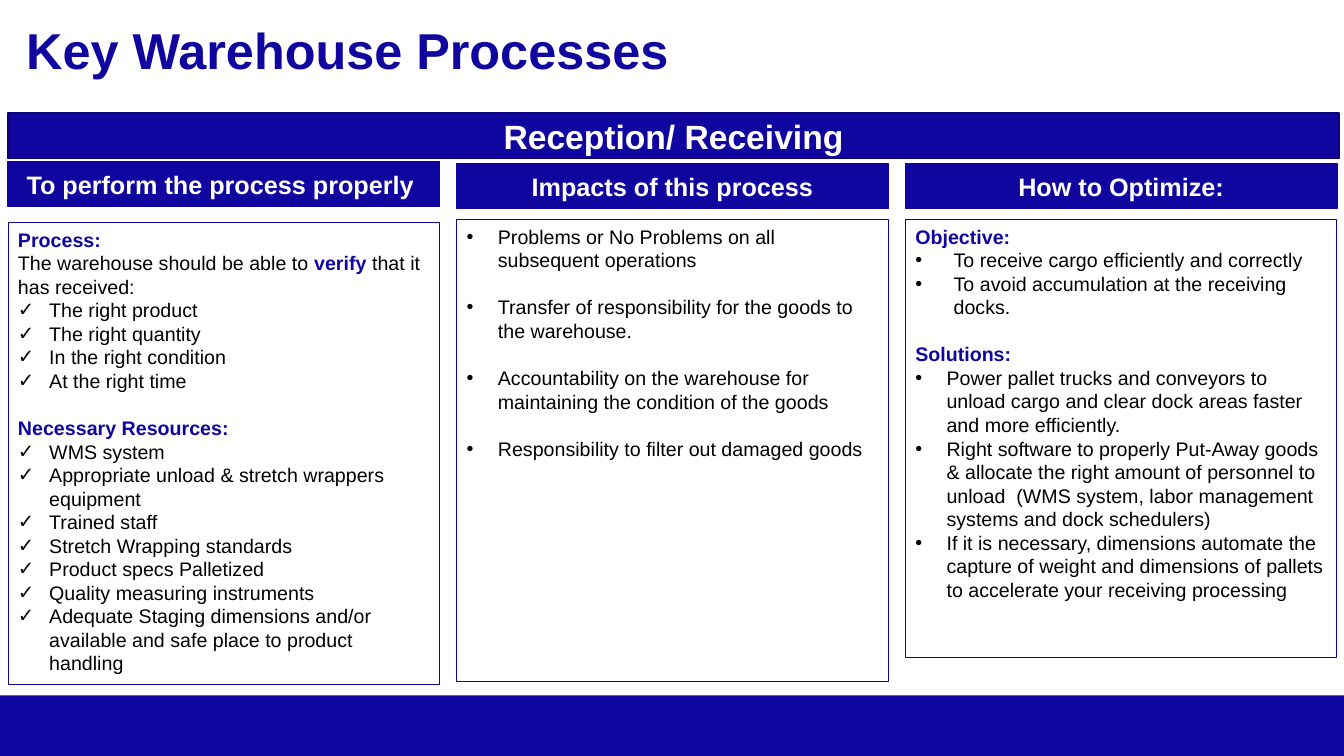
from dataclasses import dataclass
from lxml.etree import SubElement
from pptx import Presentation
from pptx.dml.color import RGBColor
from pptx.enum.shapes import MSO_SHAPE
from pptx.enum.text import MSO_ANCHOR, MSO_AUTO_SIZE, PP_ALIGN
from pptx.oxml.ns import qn
from pptx.util import Inches, Pt


@dataclass(frozen=True)
class Theme:
    font: str = "Arial"
    blue: str = "10069F"
    edge: str = "0C0476"
    white: str = "FFFFFF"
    black: str = "000000"
    title: float = 36
    band: float = 24
    header: float = 18
    body: float = 14
    leading: float = 16.8


THEME = Theme()
WIDTH, HEIGHT = 13.33, 7.5
LEFT, PITCH, COLUMN = 0.08, 4.45, 4.28
ROW = 0.45
CHECK, DOT = "✓", "•"


def add_run(p, text, size, color, bold=False):
    r = p.add_run()
    r.text = text
    r.font.name = THEME.font
    r.font.size = Pt(size)
    r.font.bold = bold
    r.font.color.rgb = RGBColor.from_string(color)


def add_box(s, left, top, width, height, fill, line=None, weight=1):
    sp = s.shapes.add_shape(MSO_SHAPE.RECTANGLE, Inches(left), Inches(top),
                            Inches(width), Inches(height))
    sp.shadow.inherit = False
    sp.fill.solid()
    sp.fill.fore_color.rgb = RGBColor.from_string(fill)
    if line:
        sp.line.color.rgb = RGBColor.from_string(line)
        sp.line.width = Pt(weight)
    else:
        sp.line.fill.background()
    return sp


def add_title(s, text):
    sp = s.shapes.title
    sp.left, sp.top = Inches(0.16), Inches(0.14)
    sp.width, sp.height = Inches(13.11), Inches(0.87)
    tf = sp.text_frame
    tf.word_wrap = True
    tf.auto_size = MSO_AUTO_SIZE.NONE
    tf.vertical_anchor = MSO_ANCHOR.TOP
    p = tf.paragraphs[0]
    p.alignment = PP_ALIGN.LEFT
    add_run(p, text, THEME.title, THEME.blue, True)


def add_bar(s, left, top, width, text, size, line, before=0):
    tf = add_box(s, left, top, width, ROW, THEME.blue, line).text_frame
    tf.word_wrap = True
    tf.vertical_anchor = MSO_ANCHOR.MIDDLE
    p = tf.paragraphs[0]
    p.alignment = PP_ALIGN.CENTER
    p.space_before = Pt(before)
    add_run(p, text, size, THEME.white, True)


def set_bullet(p, char, indent):
    pPr = p._p.get_or_add_pPr()
    pPr.set("marL", str(Inches(indent)))
    pPr.set("indent", str(-Inches(indent)))
    SubElement(pPr, qn("a:buFont")).set("typeface", THEME.font)
    SubElement(pPr, qn("a:buChar")).set("char", char)


def heading(text):
    return dict(runs=[(text, True)])


def bullets(char, *items, indent=0.31, gap=False):
    return [dict(runs=[(item, False)], char=char, indent=indent,
                 gap=gap and i > 0) for i, item in enumerate(items)]


def add_panel(s, left, top, height, paragraphs):
    sp = add_box(s, left, top, COLUMN, height, THEME.white, THEME.blue, 0.75)
    tf = sp.text_frame
    tf.word_wrap = True
    tf.auto_size = MSO_AUTO_SIZE.NONE
    tf.vertical_anchor = MSO_ANCHOR.TOP
    for i, item in enumerate(paragraphs):
        p = tf.add_paragraph() if i else tf.paragraphs[0]
        p.alignment = PP_ALIGN.LEFT
        p.line_spacing = Pt(THEME.leading)
        p.space_before = Pt(THEME.leading if item.get("gap") else 0)
        if "char" in item:
            set_bullet(p, item["char"], item["indent"])
        for text, strong in item["runs"]:
            color = THEME.blue if strong else THEME.black
            add_run(p, text, THEME.body, color, strong)


PROCESS = [
    heading("Process:"),
    dict(runs=[("The warehouse should be able to ", False), ("verify", True),
               (" that it has received:", False)]),
    *bullets(CHECK, "The right product", "The right quantity",
             "In the right condition", "At the right time"),
    heading("Necessary Resources:") | dict(gap=True),
    *bullets(CHECK, "WMS system",
             "Appropriate unload & stretch wrappers equipment",
             "Trained staff", "Stretch Wrapping standards",
             "Product specs Palletized", "Quality measuring instruments",
             "Adequate Staging dimensions and/or available and safe place "
             "to product handling"),
]
IMPACTS = bullets(
    DOT, "Problems or No Problems on all subsequent operations",
    "Transfer of responsibility for the goods to the warehouse.",
    "Accountability on the warehouse for maintaining the condition of the goods",
    "Responsibility to filter out damaged goods", gap=True)
OPTIMIZE = [
    heading("Objective:"),
    *bullets(DOT, "To receive cargo efficiently and correctly",
             "To avoid accumulation at the receiving docks.", indent=0.38),
    heading("Solutions:") | dict(gap=True),
    *bullets(DOT, "Power pallet trucks and conveyors to unload cargo and clear "
             "dock areas faster and more efficiently.",
             "Right software to properly Put-Away goods & allocate the right "
             "amount of personnel to unload  (WMS system, labor management "
             "systems and dock schedulers)",
             "If it is necessary, dimensions automate the capture of weight "
             "and dimensions of pallets to accelerate your receiving processing"),
]
COLUMNS = [
    ("To perform the process properly ", 1.6, 2.21, 4.58, PROCESS),
    ("Impacts of this process", 1.62, 2.18, 4.58, IMPACTS),
    ("How to Optimize:", 1.62, 2.18, 4.34, OPTIMIZE),
]


def main():
    prs = Presentation()
    prs.slide_width, prs.slide_height = Inches(WIDTH), Inches(HEIGHT)
    s = prs.slides.add_slide(prs.slide_layouts[5])
    add_title(s, "Key Warehouse Processes")
    add_box(s, 0, 6.9, WIDTH, HEIGHT - 6.9, THEME.blue)
    add_bar(s, LEFT, 1.12, 13.2, "Reception/ Receiving", THEME.band,
            THEME.edge, before=6)
    for i, (name, header_top, top, height, paragraphs) in enumerate(COLUMNS):
        left = LEFT + i * PITCH
        add_bar(s, left, header_top, COLUMN, name, THEME.header, THEME.blue)
        add_panel(s, left, top, height, paragraphs)
    prs.save("out.pptx")


if __name__ == "__main__":
    main()
